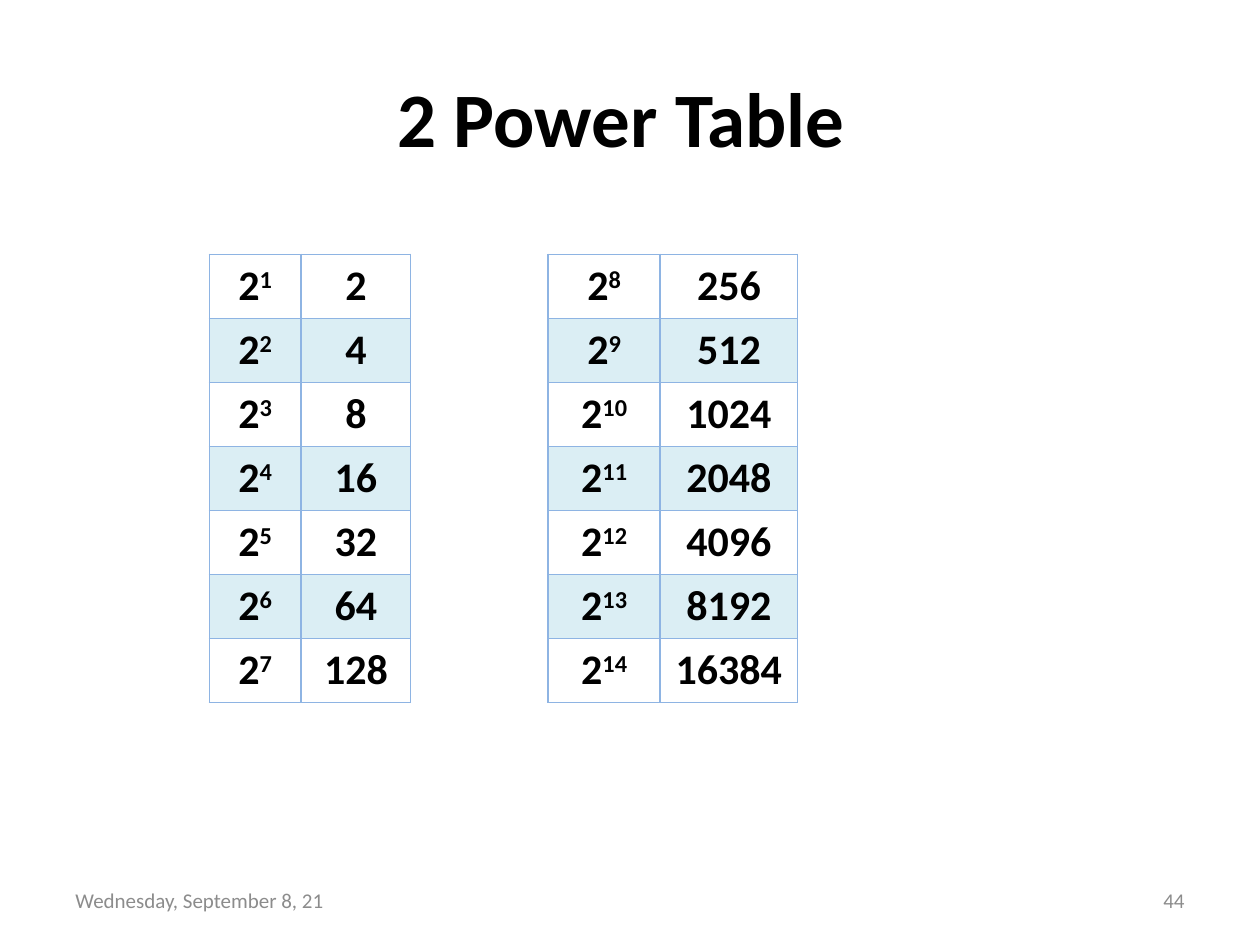
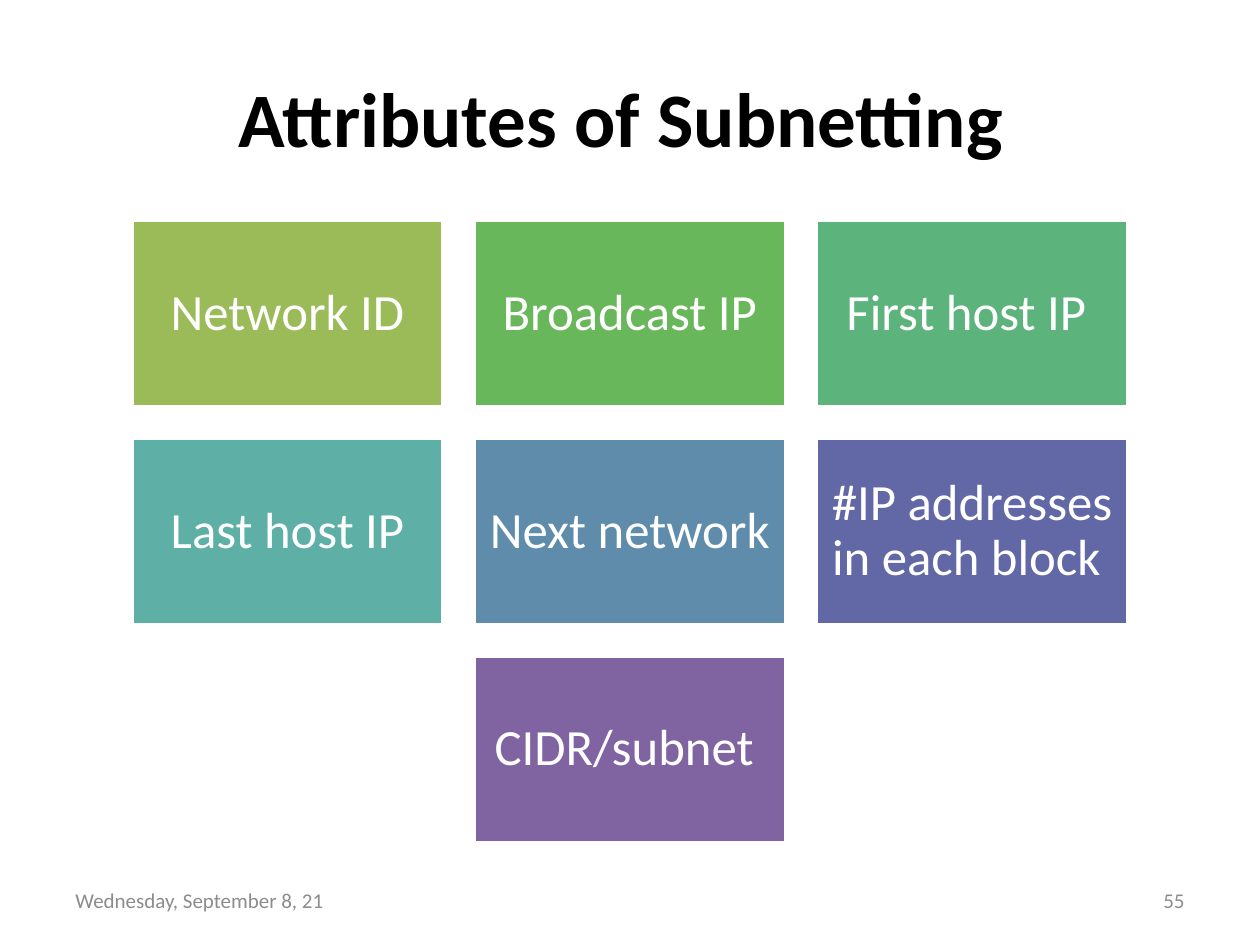
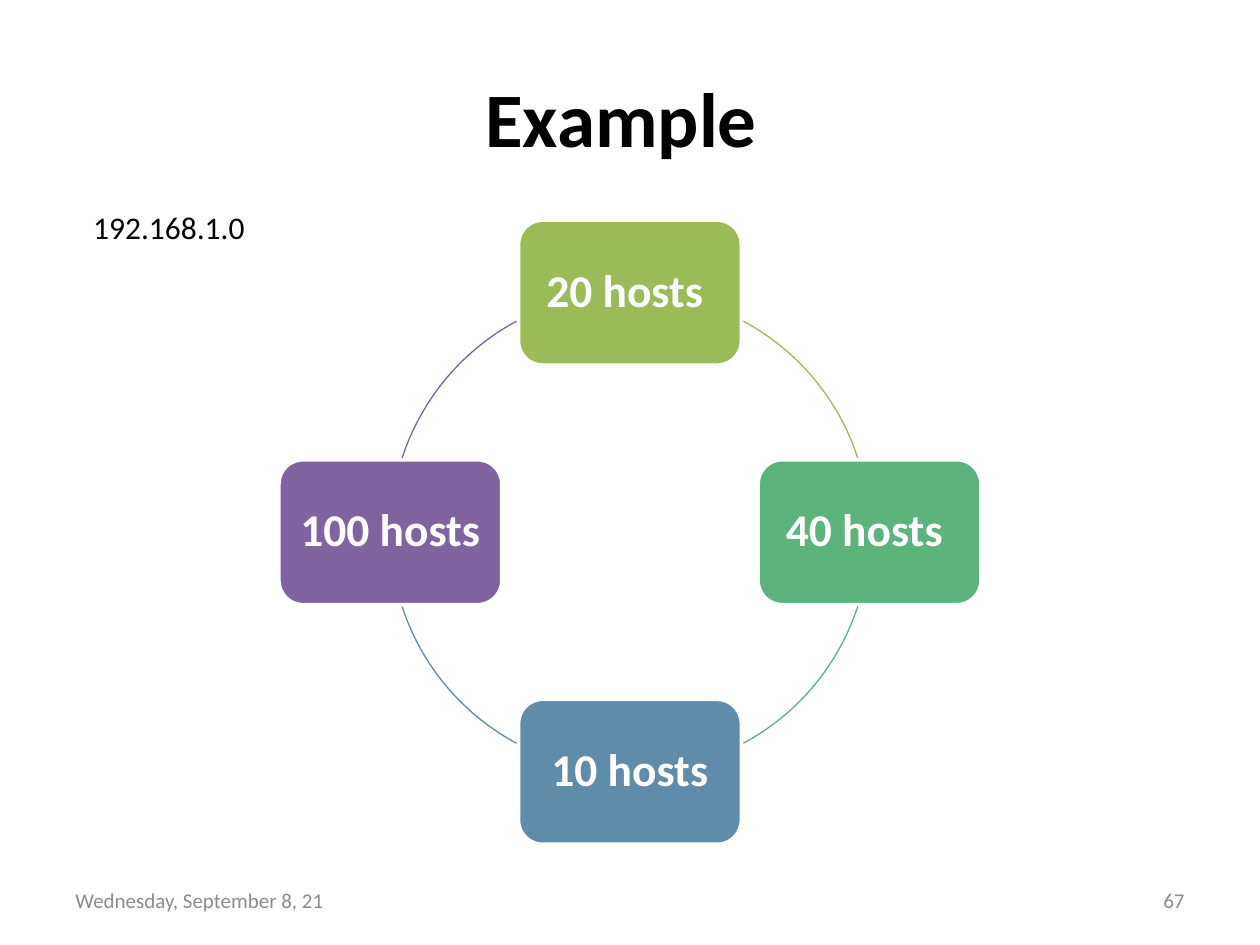
import math
from dataclasses import dataclass

import pptx
import pptx.dml.color
import pptx.enum.shapes
import pptx.enum.text
import pptx.oxml
import pptx.oxml.ns
import pptx.util

Cm = pptx.util.Cm
Pt = pptx.util.Pt
Shapes = pptx.enum.shapes.MSO_SHAPE
Align = pptx.enum.text.PP_ALIGN
Anchor = pptx.enum.text.MSO_ANCHOR


@dataclass(frozen=True)
class Theme:
    font: str = "Calibri"
    text: str = "000000"
    light: str = "FFFFFF"
    muted: str = "8C8C8C"
    border: str = "8EB4E3"
    band: str = "DBEEF4"
    accents: tuple = ("9BBB59", "69B75B", "5CB37C", "5EAFA6",
                      "608CAB", "6267A6", "8064A2")
    title_size: int = 44
    tile_size: int = 29
    cycle_size: int = 26
    table_size: int = 24
    body_size: int = 18
    footer_size: int = 12


def rgb(value):
    return pptx.dml.color.RGBColor.from_string(value)


class Deck:
    """Holds the theme and the slide being built."""

    width, height = 25.4, 19.05
    date = "Wednesday, September 8, 21"

    def __init__(self, theme):
        self.theme = theme
        self.presentation = pptx.Presentation()
        self.presentation.slide_width = Cm(self.width)
        self.presentation.slide_height = Cm(self.height)
        self.slide = None

    def add_slide(self, title, number):
        theme = self.theme
        layout = self.presentation.slide_layouts[6]
        self.slide = self.presentation.slides.add_slide(layout)
        self.text(title, 1.27, 0.76, 22.86, 3.18, theme.title_size, theme.text,
                  Align.CENTER, Anchor.MIDDLE, bold=True)
        for content, left, align in ((self.date, 1.27, Align.LEFT),
                                     (number, 18.2, Align.RIGHT)):
            self.text(content, left, 17.65, 5.93, 1.01, theme.footer_size,
                      theme.muted, align, Anchor.MIDDLE)

    def format_paragraph(self, paragraph, size, color, align, bold=False):
        paragraph.alignment = align
        for run in paragraph.runs:
            run.font.name = self.theme.font
            run.font.size = Pt(size)
            run.font.bold = bold
            run.font.color.rgb = rgb(color)

    def text(self, content, left, top, width, height, size, color,
             align=Align.LEFT, anchor=Anchor.TOP, bold=False):
        box = self.slide.shapes.add_textbox(Cm(left), Cm(top), Cm(width), Cm(height))
        frame = box.text_frame
        frame.word_wrap = True
        frame.vertical_anchor = anchor
        frame.text = content
        self.format_paragraph(frame.paragraphs[0], size, color, align, bold)

    def box(self, kind, content, left, top, width, height, fill, size, inset,
            bold=False):
        shape = self.slide.shapes.add_shape(kind, Cm(left), Cm(top), Cm(width), Cm(height))
        shape.shadow.inherit = False
        shape.fill.solid()
        shape.fill.fore_color.rgb = rgb(fill)
        shape.line.color.rgb = rgb(self.theme.light)
        shape.line.width = Pt(2)
        frame = shape.text_frame
        frame.word_wrap = True
        frame.vertical_anchor = Anchor.MIDDLE
        frame.margin_left = frame.margin_right = Cm(inset)
        frame.margin_top = frame.margin_bottom = Cm(inset)
        frame.text = content
        paragraph = frame.paragraphs[0]
        paragraph.line_spacing = 0.9
        self.format_paragraph(paragraph, size, self.theme.light, Align.CENTER, bold)

    def arc(self, center_x, center_y, radius, start, end, color):
        """Draws an arc clockwise; angles are degrees from the right."""
        shape = self.slide.shapes.add_shape(
            Shapes.ARC, Cm(center_x - radius), Cm(center_y - radius),
            Cm(2 * radius), Cm(2 * radius))
        shape.shadow.inherit = False
        for index, angle in enumerate((start, end)):
            shape.adjustments[index] = angle % 360 * 0.6
        shape.fill.background()
        shape.line.color.rgb = rgb(color)
        shape.line.width = Pt(0.75)

    def cell_borders(self, cell):
        properties = cell._tc.get_or_add_tcPr()
        for index, side in enumerate(("lnL", "lnR", "lnT", "lnB")):
            properties.insert(index, pptx.oxml.parse_xml(
                f'<a:{side} {pptx.oxml.ns.nsdecls("a")} w="12700"><a:solidFill>'
                f'<a:srgbClr val="{self.theme.border}"/></a:solidFill></a:{side}>'))

    def power_table(self, exponents, left, top, column_widths, row_height):
        theme = self.theme
        table = self.slide.shapes.add_table(
            len(exponents), 2, Cm(left), Cm(top), Cm(sum(column_widths)),
            Cm(row_height * len(exponents))).table
        table.first_row = table.horz_banding = False
        for column, width in zip(table.columns, column_widths):
            column.width = Cm(width)
        for row, exponent in enumerate(exponents):
            power, value = table.cell(row, 0), table.cell(row, 1)
            power.text = "2"
            superscript = power.text_frame.paragraphs[0].add_run()
            superscript.text = str(exponent)
            superscript._r.get_or_add_rPr().set("baseline", "30000")
            value.text = str(2 ** exponent)
            for cell in (power, value):
                if row % 2:
                    cell.fill.solid()
                    cell.fill.fore_color.rgb = rgb(theme.band)
                else:
                    cell.fill.background()
                self.cell_borders(cell)
                self.format_paragraph(cell.text_frame.paragraphs[0], theme.table_size,
                                      theme.text, Align.CENTER, bold=True)

    def tile_grid(self, labels, columns, top, width, height, gap):
        """Places tiles row by row, each row centred on the slide."""
        for index, label in enumerate(labels):
            row, column = divmod(index, columns)
            count = min(columns, len(labels) - row * columns)
            row_left = (self.width - count * width - (count - 1) * gap) / 2
            self.box(Shapes.RECTANGLE, label, row_left + column * (width + gap),
                     top + row * (height + gap), width, height,
                     self.theme.accents[index], self.theme.tile_size, inset=0.3)

    def cycle(self, labels, center_x, center_y, radius, width, height):
        """Places boxes clockwise from the top, joined by arcs."""
        arc_spans = ((-61.75, -18), (18, 61.75), (118.25, 162), (198, 241.75))
        colors = self.theme.accents[::2]
        for index, (label, span, color) in enumerate(zip(labels, arc_spans, colors)):
            angle = math.radians(index * 90 - 90)
            self.box(Shapes.ROUNDED_RECTANGLE, label,
                     center_x + radius * math.cos(angle) - width / 2,
                     center_y + radius * math.sin(angle) - height / 2,
                     width, height, color, self.theme.cycle_size, inset=0.28, bold=True)
            self.arc(center_x, center_y, radius, *span, color)


def main():
    theme = Theme()
    deck = Deck(theme)

    # Powers of two
    deck.add_slide("2 Power Table ", "44")
    deck.power_table(range(1, 8), 4.22, 5.13, (1.85, 2.21), 1.29)
    deck.power_table(range(8, 15), 11.05, 5.13, (2.26, 2.77), 1.29)

    # Subnetting attributes
    deck.add_slide("Attributes of Subnetting ", "55")
    deck.tile_grid(("Network ID", "Broadcast IP", "First host IP ", "Last host IP",
                    "Next network ", "#IP addresses in each block ", "CIDR/subnet "),
                   columns=3, top=4.45, width=6.27, height=3.76, gap=0.63)

    # Host counts around a network
    deck.add_slide("Example ", "67")
    deck.cycle(("20 hosts ", "40 hosts ", "10 hosts", "100 hosts"),
               12.7, 10.73, radius=4.83, width=4.49, height=2.92)
    deck.text("192.168.1.0", 1.63, 4.06, 5.23, 1.02, theme.body_size, theme.text)

    deck.presentation.save("out.pptx")


if __name__ == "__main__":
    main()
